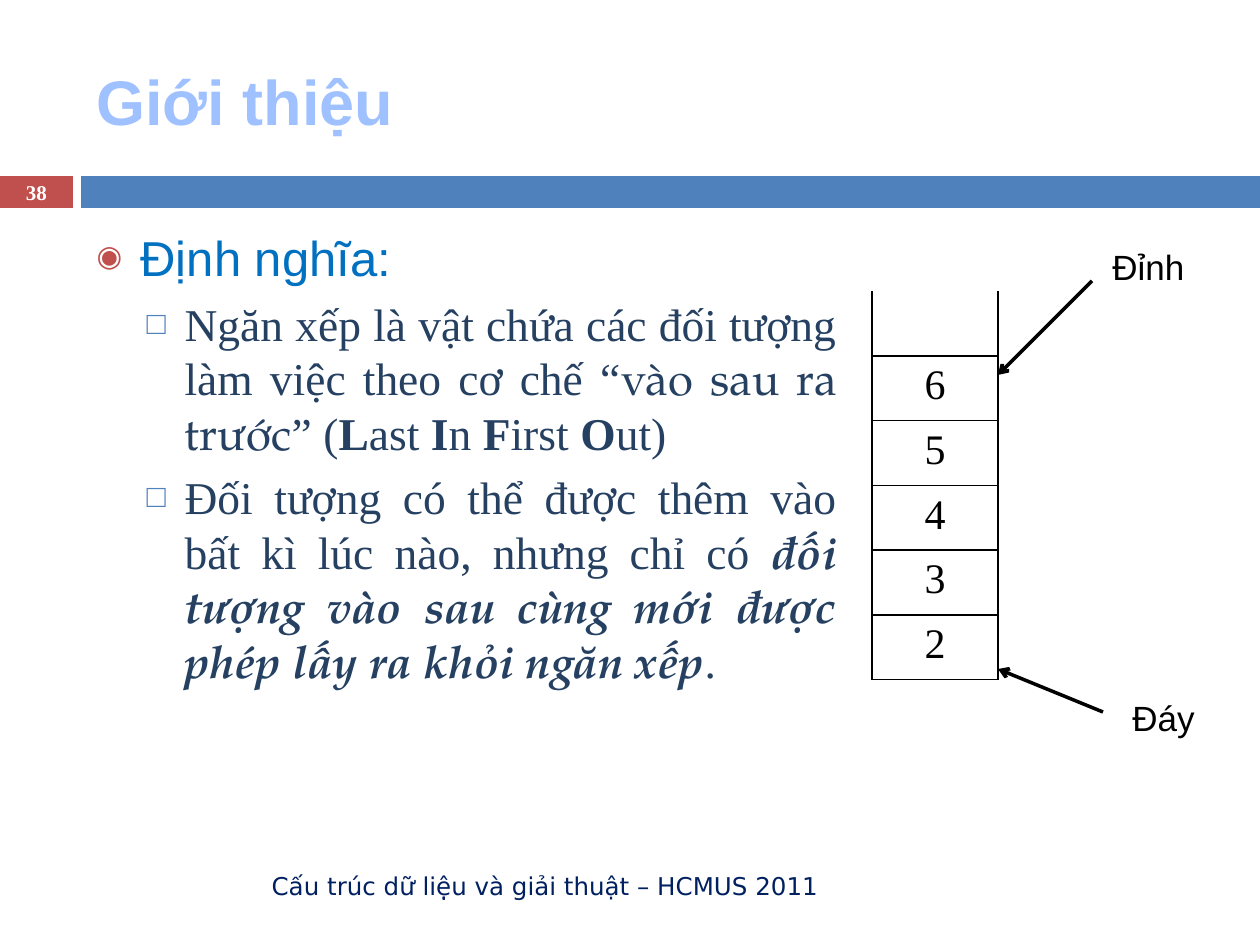
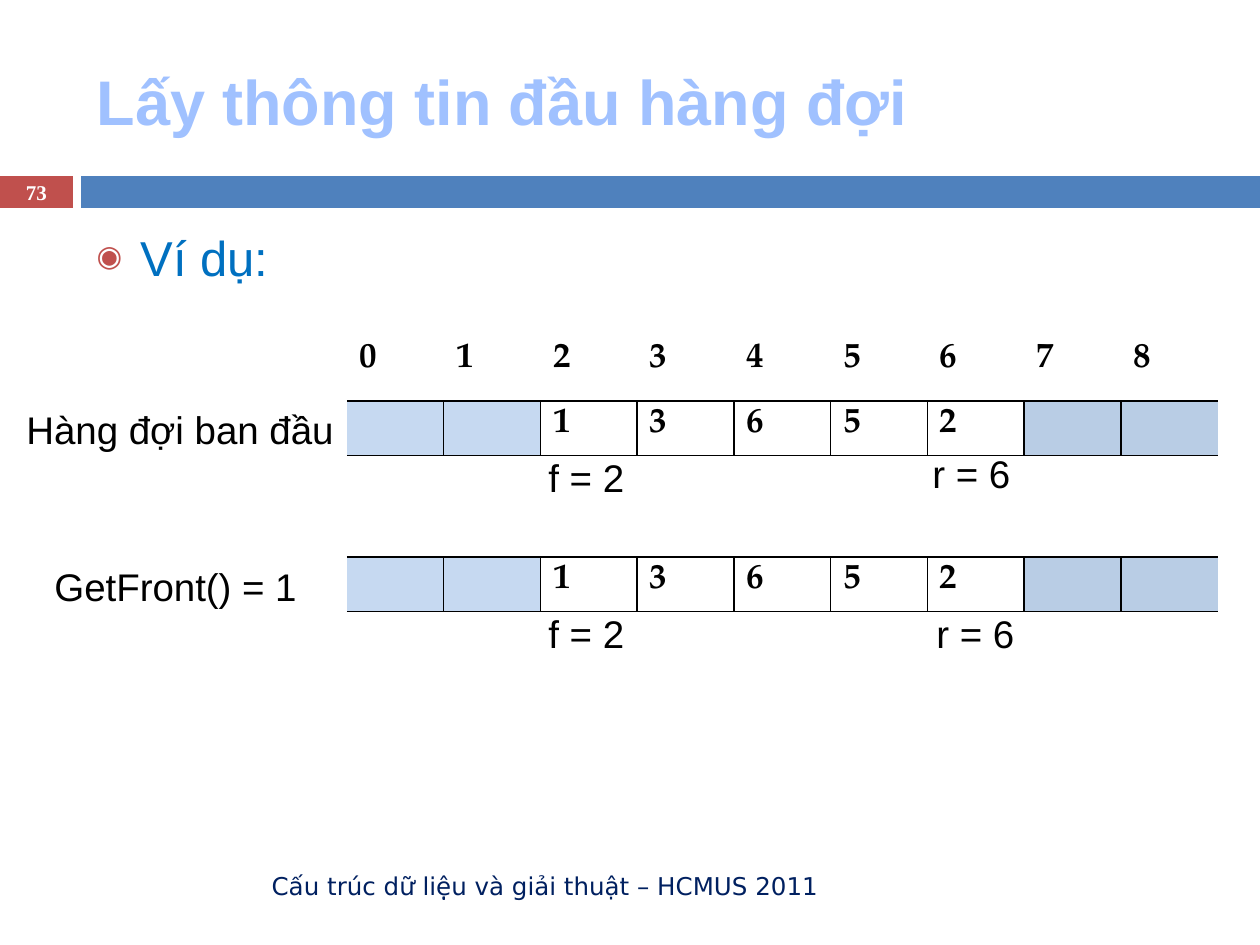
import pptx
import pptx.dml.color
import pptx.enum.shapes
import pptx.enum.text
import pptx.oxml.ns
import pptx.util
from lxml import etree

RGB = pptx.dml.color.RGBColor
ALIGN = pptx.enum.text.PP_ALIGN
MIDDLE = pptx.enum.text.MSO_ANCHOR.MIDDLE

RED = RGB(0xC0, 0x50, 0x4D)
BLUE = RGB(0x4F, 0x81, 0xBD)
TITLE_BLUE = RGB(0xA0, 0xC1, 0xFF)
HEADING_BLUE = RGB(0x00, 0x70, 0xC0)
BODY_BLUE = RGB(0x25, 0x40, 0x61)
FOOTER_BLUE = RGB(0x00, 0x20, 0x60)
FREE_FRONT = RGB(0xC6, 0xD9, 0xF1)
FREE_REAR = RGB(0xB9, 0xCD, 0xE5)
WHITE = RGB(0xFF, 0xFF, 0xFF)
BLACK = RGB(0x00, 0x00, 0x00)

SANS = "Arial"
SERIF = "Times New Roman"
PALATINO = "TeX Gyre Pagella"
FOOTER_FONT = "DejaVu Sans"

FOOTER = "Cấu trúc dữ liệu và giải thuật – HCMUS 2011"
EMU_PER_PX = 914400 / 126
BULLETS = [
    dict(char="◉", color=RED, percent=60, left=44, hang=44, before=7),
    dict(char="□", color=BLUE, percent=70, left=88, hang=38, before=5.5),
]


def px(n):
    return pptx.util.Emu(round(n * EMU_PER_PX))


def place(sp, box):
    sp.left, sp.top, sp.width, sp.height = map(px, box)


def child(parent, tag, **attrs):
    return etree.SubElement(parent, pptx.oxml.ns.qn(tag), attrs)


def add_text(p, text, font=SANS, size=20, color=BLACK, bold=False, italic=False):
    r = p.add_run()
    r.text = text
    r.font.name = font
    r.font.size = pptx.util.Pt(size)
    r.font.color.rgb = color
    r.font.bold = bold
    r.font.italic = italic


def add_label(s, box, text, align=ALIGN.LEFT, anchor=None, inset=None, **fmt):
    tf = s.shapes.add_textbox(*map(px, box)).text_frame
    tf.word_wrap = True
    if anchor is not None:
        tf.vertical_anchor = anchor
    if inset is not None:
        tf.margin_left = tf.margin_right = tf.margin_top = tf.margin_bottom = px(inset)
    tf.paragraphs[0].alignment = align
    add_text(tf.paragraphs[0], text, **fmt)


def add_band(s, box, color):
    sp = s.shapes.add_shape(pptx.enum.shapes.MSO_SHAPE.RECTANGLE, *map(px, box))
    sp.shadow.inherit = False
    sp.fill.solid()
    sp.fill.fore_color.rgb = color
    sp.line.fill.background()


def add_arrow(s, start, end):
    line = s.shapes.add_connector(pptx.enum.shapes.MSO_CONNECTOR.STRAIGHT,
                                  *map(px, start + end))
    line.line.color.rgb = BLACK
    line.line.width = pptx.util.Pt(2)
    child(line.line._get_or_add_ln(), "a:tailEnd", type="arrow")
    child(line._element.spPr, "a:effectLst")


def set_borders(cell, sides):
    tcPr = cell._tc.get_or_add_tcPr()
    for i, side in enumerate("LRTB"):
        ln = child(tcPr, "a:ln" + side, w=str(pptx.util.Pt(1)))
        if side in sides:
            child(child(ln, "a:solidFill"), "a:srgbClr", val=str(BLACK))
        else:
            child(ln, "a:noFill")
        tcPr.insert(i, ln)


def add_grid(s, box, rows, fills=None, borders=None, align=ALIGN.LEFT, **fmt):
    n_rows, n_cols = len(rows), len(rows[0])
    table = s.shapes.add_table(n_rows, n_cols, *map(px, box)).table
    table.first_row = table.horz_banding = False
    for col in table.columns:
        col.width = px(box[2] / n_cols)
    for i, row in enumerate(rows):
        table.rows[i].height = px(box[3] / n_rows)
        for j, text in enumerate(row):
            cell = table.cell(i, j)
            if fills:
                cell.fill.solid()
                cell.fill.fore_color.rgb = fills[j]
            else:
                cell.fill.background()
            set_borders(cell, borders(i, j) if borders else "")
            p = cell.text_frame.paragraphs[0]
            p.alignment = align
            if text:
                add_text(p, text, **fmt)
            else:
                p.font.size = pptx.util.Pt(12)


def add_item(p, level, runs, first=False, align=ALIGN.LEFT):
    b = BULLETS[level]
    p.level = level
    pPr = p._p.get_or_add_pPr()
    pPr.set("marL", str(px(b["left"])))
    pPr.set("indent", str(-px(b["hang"])))
    child(child(pPr, "a:buClr"), "a:srgbClr", val=str(b["color"]))
    child(pPr, "a:buSzPct", val=str(b["percent"] * 1000))
    child(pPr, "a:buChar", char=b["char"])
    p.space_before = pptx.util.Pt(0 if first else b["before"])
    p.alignment = align
    for text, fmt in runs:
        add_text(p, text, **fmt)


def add_page(prs, title, number, heading, body_width):
    s = prs.slides.add_slide(prs.slide_layouts[1])
    add_band(s, (0, 176, 73, 32), RED)
    add_band(s, (81, 176, 1179, 32), BLUE)

    place(s.shapes.title, (84, 32, 1124, 136))
    tf = s.shapes.title.text_frame
    tf.vertical_anchor = MIDDLE
    tf.auto_size = pptx.enum.text.MSO_AUTO_SIZE.NONE
    tf.paragraphs[0].alignment = ALIGN.LEFT
    add_text(tf.paragraphs[0], title, size=36, color=TITLE_BLUE, bold=True)

    add_label(s, (84, 861, 747, 50), FOOTER, align=ALIGN.RIGHT, anchor=MIDDLE,
              font=FOOTER_FONT, size=14, color=FOOTER_BLUE)
    add_label(s, (0, 176, 73, 33), str(number), align=ALIGN.CENTER, anchor=MIDDLE,
              inset=0, font=SERIF, size=12, color=WHITE, bold=True)

    body = s.placeholders[1]
    place(body, (84, 221, body_width, 620))
    body.text_frame.auto_size = pptx.enum.text.MSO_AUTO_SIZE.NONE
    add_item(body.text_frame.paragraphs[0], 0,
             [(heading, dict(size=28, color=HEADING_BLUE))], first=True)
    return s, body.text_frame


def add_stack(s, box, items):
    x, y, w, h = box
    add_grid(s, box, [[""]] + [[item] for item in items],
             borders=lambda i, j: "LRB" if i == 0 else "LRTB",
             align=ALIGN.CENTER, font=SERIF, size=24)
    right = x + w
    add_arrow(s, (right + 105, y + h + 32), (right, y + h - 11))
    add_arrow(s, (right + 94, y - 10), (right, y + 84))
    add_label(s, (right + 102, y - 52, 108, 55), "Đỉnh")
    add_label(s, (right + 122, y + h + 10, 108, 55), "Đáy")


def add_queue(s, box, items, label, label_box, rear_x, note_y):
    x, y, w, h = box
    last = len(items) - 1

    def borders(i, j):
        return "RTB" if j == 0 else "LTB" if j == last else "LRTB"

    fills = [FREE_FRONT] * 2 + [WHITE] * 5 + [FREE_REAR] * 2
    add_grid(s, box, [items], fills, borders, font=PALATINO, bold=True)
    dx, dy, label_w = label_box
    add_label(s, (x + dx, y + dy, label_w, 59), label, size=22)
    add_label(s, (x + 189, y + 47, 105, 59), "f = 2", size=22)
    add_label(s, (x + rear_x, y + note_y, 105, 59), "r = 6", size=22)


def stack_slide(prs):
    s, tf = add_page(prs, "Giới thiệu", 38, "Định nghĩa:", 766)
    plain = dict(font=SERIF, size=26, color=BODY_BLUE)
    bold = dict(plain, bold=True)
    quote = dict(plain, font=PALATINO)
    strong = dict(quote, bold=True, italic=True)
    items = [
        [("Ngăn xếp là vật chứa các đối tượng làm việc theo cơ chế “", plain),
         ("vào sau ra trước", quote), ("” (", plain),
         ("L", bold), ("ast ", plain), ("I", bold), ("n ", plain),
         ("F", bold), ("irst ", plain), ("O", bold), ("ut)", plain)],
        [("Đối tượng có thể được thêm vào bất kì lúc nào, nhưng chỉ có ", plain),
         ("đối tượng vào sau cùng mới được phép lấy ra khỏi ngăn xếp", strong),
         (".", plain)],
    ]
    for runs in items:
        add_item(tf.add_paragraph(), 1, runs, align=ALIGN.JUSTIFY)
    add_stack(s, (872, 291, 126, 389), "65432")


def queue_slide(prs):
    s, tf = add_page(prs, "Lấy thông tin đầu hàng đợi", 73, "Ví dụ:", 1124)
    x, w = 347, 871
    items = ["", "", "1", "3", "6", "5", "2", "", ""]
    add_grid(s, (x, 336, w, 52), ["012345678"], [WHITE] * 9, font=PALATINO, bold=True)
    add_queue(s, (x, 401, w, 50), items, "Hàng đợi ban đầu", (-333, -1, 346), 573, 43)
    add_queue(s, (x, 557, w, 54), items, "GetFront() = 1", (-305, 0, 294), 577, 47)


def main():
    prs = pptx.Presentation()
    prs.slide_width, prs.slide_height = px(1260), px(945)
    stack_slide(prs)
    queue_slide(prs)
    prs.save("out.pptx")


if __name__ == "__main__":
    main()
